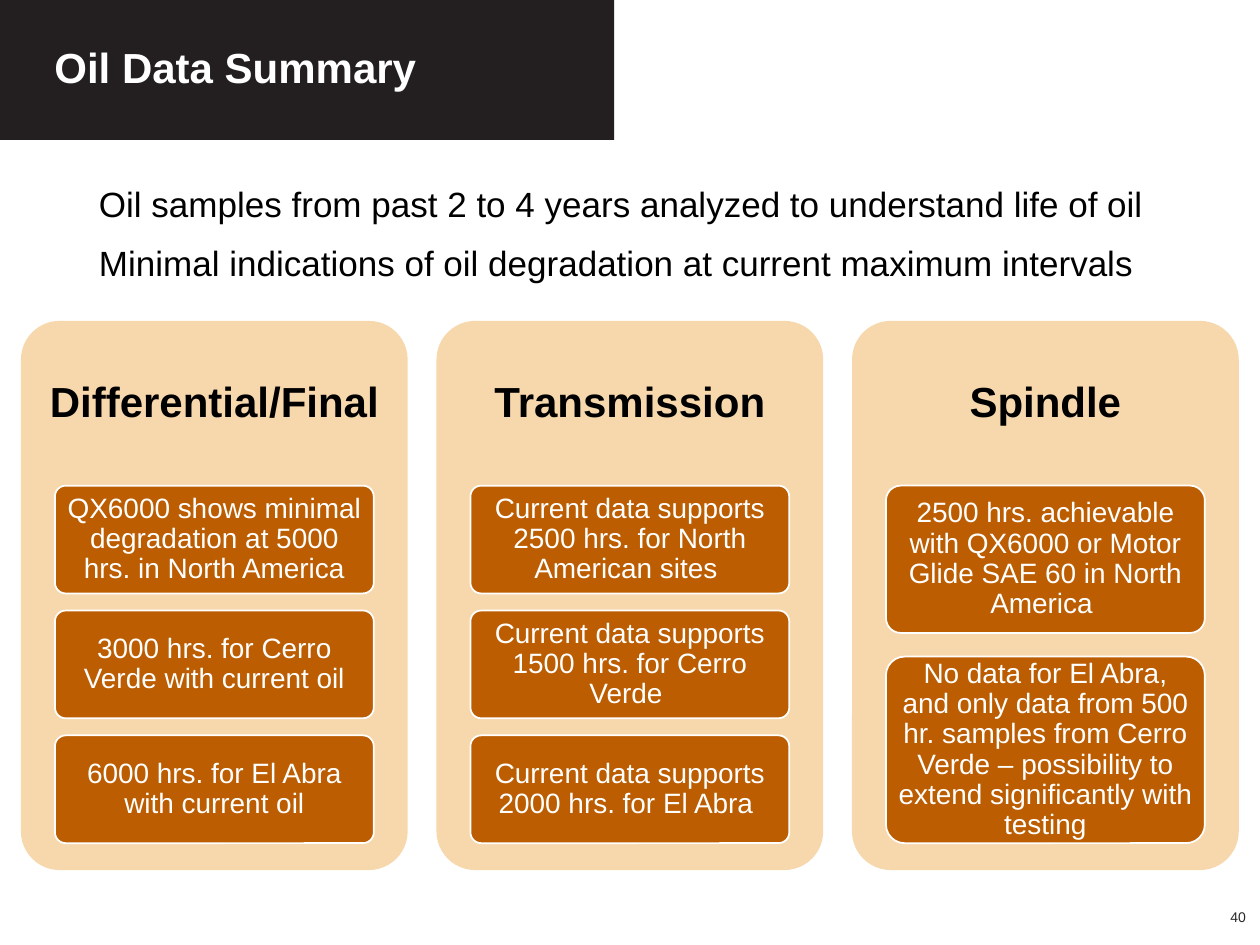
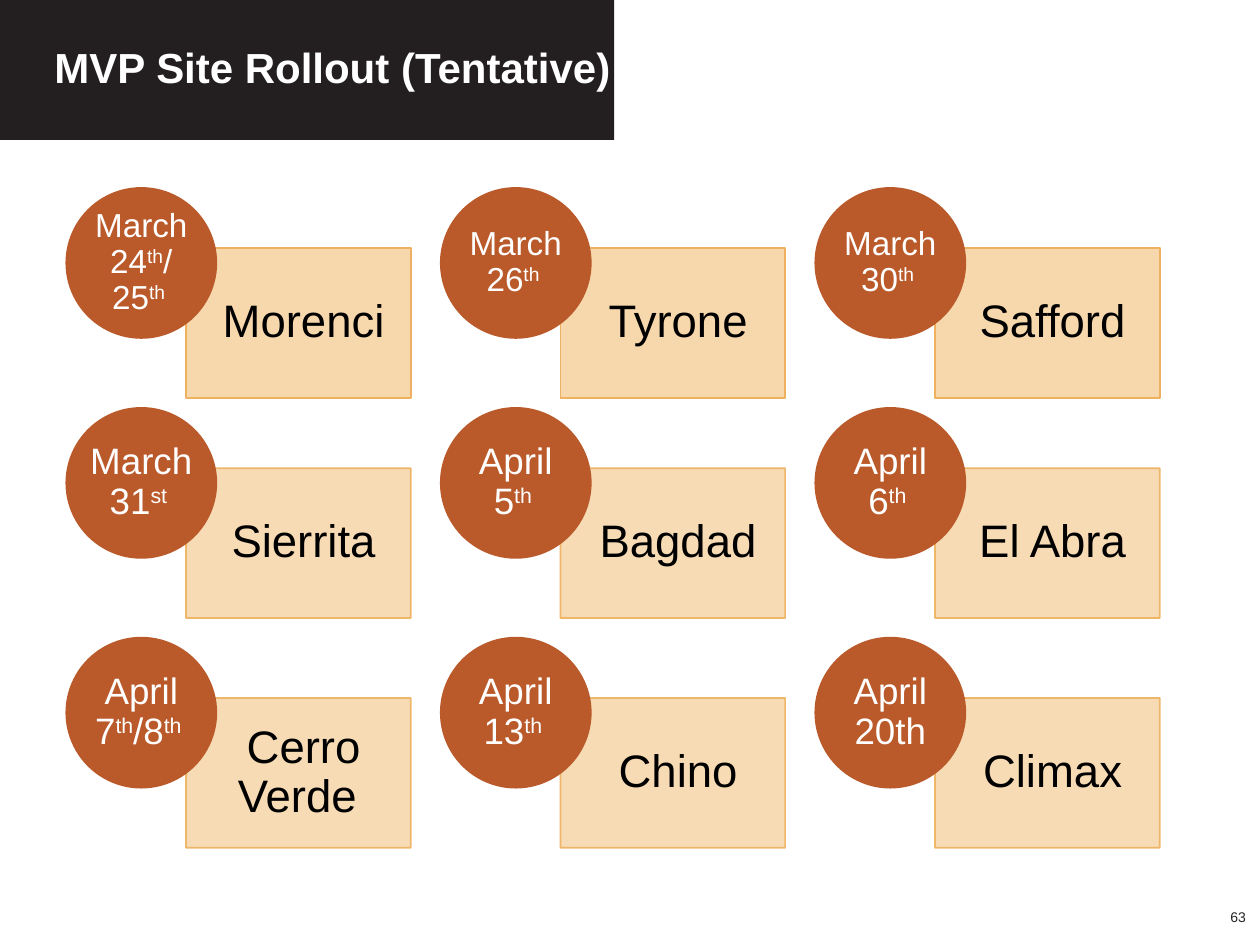
import dataclasses

import lxml.etree
import pptx
import pptx.dml.color
import pptx.enum.shapes
import pptx.enum.text
import pptx.oxml.ns
import pptx.util

Pt = pptx.util.Pt
SHAPES = pptx.enum.shapes.MSO_SHAPE
ALIGN = pptx.enum.text.PP_ALIGN
ANCHOR = pptx.enum.text.MSO_ANCHOR


def rgb(code):
    return pptx.dml.color.RGBColor.from_string(code)


@dataclasses.dataclass(frozen=True)
class Theme:
    font: str = "Arial"
    band: str = "231F20"
    white: str = "FFFFFF"
    black: str = "000000"
    number: str = "262626"
    sand: str = "F7D8AD"
    sand_edge: str = "EFB15F"
    card: str = "BB5D00"
    circle: str = "BA5929"
    title_size: int = 24
    body_size: int = 20
    card_size: int = 16
    site_size: int = 26
    number_size: int = 8
    line_spacing: float = 0.9


class Deck:
    def __init__(self, theme):
        self.theme = theme
        self.presentation = pptx.Presentation()
        self.presentation.slide_width = Pt(720)
        self.presentation.slide_height = Pt(540)
        self.slide = None

    def add_slide(self, title, number):
        theme = self.theme
        self.slide = self.presentation.slides.add_slide(self.presentation.slide_layouts[6])
        self.shape(SHAPES.RECTANGLE, (0, 0, 351, 80), theme.band)
        self.text_box((24, 6.5, 450, 67), [title], theme.title_size, theme.white, bold=True)
        self.text_box((687, 510, 32, 29), [number], theme.number_size, theme.number,
                      align=ALIGN.RIGHT)

    def shape(self, kind, box, fill, line=None, opacity=None, corner=None):
        shape = self.slide.shapes.add_shape(kind, *map(Pt, box))
        shape.shadow.inherit = False
        shape.fill.solid()
        shape.fill.fore_color.rgb = rgb(fill)
        if line:
            shape.line.color.rgb = rgb(line)
            shape.line.width = Pt(1)
        else:
            shape.line.fill.background()
        if corner is not None:
            shape.adjustments[0] = corner
        if opacity is not None:
            for color in shape.element.spPr.iter(pptx.oxml.ns.qn("a:srgbClr")):
                alpha = lxml.etree.SubElement(color, pptx.oxml.ns.qn("a:alpha"))
                alpha.set("val", str(opacity * 1000))
        return shape

    def text_box(self, box, lines, size, color, **options):
        shape = self.slide.shapes.add_textbox(*map(Pt, box))
        self.set_text(shape, lines, size, color, **options)

    def set_text(self, shape, lines, size, color, bold=False, align=ALIGN.LEFT,
                 anchor=ANCHOR.MIDDLE, margins=(7.2, 3.6, 7.2, 3.6), space_before=0):
        """Fill a shape with paragraphs; text between carets is superscript."""
        left, top, right, bottom = map(Pt, margins)
        frame = shape.text_frame
        frame_format = {"word_wrap": True, "vertical_anchor": anchor, "margin_left": left,
                        "margin_top": top, "margin_right": right, "margin_bottom": bottom}
        for name, value in frame_format.items():
            setattr(frame, name, value)
        font_format = {"name": self.theme.font, "size": Pt(size), "bold": bold}
        for index, line in enumerate(lines):
            paragraph = frame.add_paragraph() if index else frame.paragraphs[0]
            paragraph.alignment = align
            paragraph.line_spacing = self.theme.line_spacing
            paragraph.space_before = Pt(space_before if index else 0)
            for position, part in enumerate(line.split("^")):
                if not part:
                    continue
                run = paragraph.add_run()
                run.text = part
                for name, value in font_format.items():
                    setattr(run.font, name, value)
                run.font.color.rgb = rgb(color)
                if position % 2:
                    run.font._element.set("baseline", "30000")

    def finding_column(self, left, heading, cards):
        """Draw a panel with a heading and cards spread over a fixed height."""
        theme = self.theme
        top, width, card_width, cards_top, cards_height = 183.4, 221, 182.2, 277.5, 204.3
        self.shape(SHAPES.ROUNDED_RECTANGLE, (left, top, width, 313.8), theme.sand, corner=0.1)
        self.text_box((left, top, width, 94.2), [heading], theme.title_size, theme.black,
                      bold=True, align=ALIGN.CENTER, margins=(7.2,) * 4)
        gap = (cards_height - sum(height for height, _ in cards)) / (len(cards) - 1)
        card_top = cards_top
        for height, text in cards:
            box = (left + (width - card_width) / 2, card_top, card_width, height)
            card = self.shape(SHAPES.ROUNDED_RECTANGLE, box, theme.card, theme.white, corner=0.1)
            self.set_text(card, [text], theme.card_size, theme.white, align=ALIGN.CENTER,
                          margins=(2.9, 2.2, 2.9, 2.2))
            card_top += height + gap

    def site(self, left, top, name, date, date_size, opacity):
        """Draw a site box with its date circle over the upper left corner."""
        theme = self.theme
        diameter = 85.7
        box = self.shape(SHAPES.RECTANGLE, (left + 68.4, top + 34.4, 128.4, diameter),
                         theme.sand, theme.sand_edge, opacity)
        self.set_text(box, [name], theme.site_size, theme.black, align=ALIGN.CENTER,
                      margins=(20.5, 14.4, 14.4, 14.4))
        circle = self.shape(SHAPES.OVAL, (left, top, diameter, diameter),
                            theme.circle, theme.circle)
        self.set_text(circle, [date], date_size, theme.white, align=ALIGN.CENTER,
                      margins=(0,) * 4)


THIRD = 61.6
FINDINGS = [
    ("Differential/Final", [
        (THIRD, "QX6000 shows minimal degradation at 5000 hrs. in North America"),
        (THIRD, "3000 hrs. for Cerro Verde with current oil"),
        (THIRD, "6000 hrs. for El Abra with current oil")]),
    ("Transmission", [
        (THIRD, "Current data supports 2500 hrs. for North American sites "),
        (THIRD, "Current data supports 1500 hrs. for Cerro Verde "),
        (THIRD, "Current data supports 2000 hrs. for El Abra ")]),
    ("Spindle", [
        (84.2, "2500 hrs. achievable with QX6000 or Motor Glide SAE 60 in North America "),
        (106.6, "No data for El Abra, and only data from 500 hr. samples from Cerro Verde "
                "– possibility to extend significantly with testing")]),
]

# Each row: top, date size, box opacity, sites with dates
ROLLOUT = [
    (107.4, 19, None, [("Morenci", "March 24^th^/ 25^th ^"), ("Tyrone", "March 26^th ^"),
                       ("Safford", "March 30^th ^")]),
    (233.1, 21, 90, [("Sierrita", "March 31^st ^"), ("Bagdad", "April 5^th ^"),
                     ("El Abra", "April 6^th ^")]),
    (364.4, 21, 90, [("Cerro Verde ", "April 7^th^/8^th ^"), ("Chino", "April 13^th ^"),
                     ("Climax", "April 20th")]),
]


def main():
    theme = Theme()
    deck = Deck(theme)

    deck.add_slide("Oil Data Summary", "40")
    deck.text_box((49.5, 103.7, 621, 72),
                  ["Oil samples from past 2 to 4 years analyzed to understand life of oil",
                   "Minimal indications of oil degradation at current maximum intervals"],
                  theme.body_size, theme.black, anchor=ANCHOR.TOP, space_before=12)
    for column, (heading, cards) in enumerate(FINDINGS):
        deck.finding_column(12 + 237.45 * column, heading, cards)

    deck.add_slide("MVP Site Rollout (Tentative)", "63")
    for top, date_size, opacity, sites in ROLLOUT:
        for column, (name, date) in enumerate(sites):
            deck.site(37.9 + 214 * column, top, name, date, date_size, opacity)

    deck.presentation.save("out.pptx")


if __name__ == "__main__":
    main()
